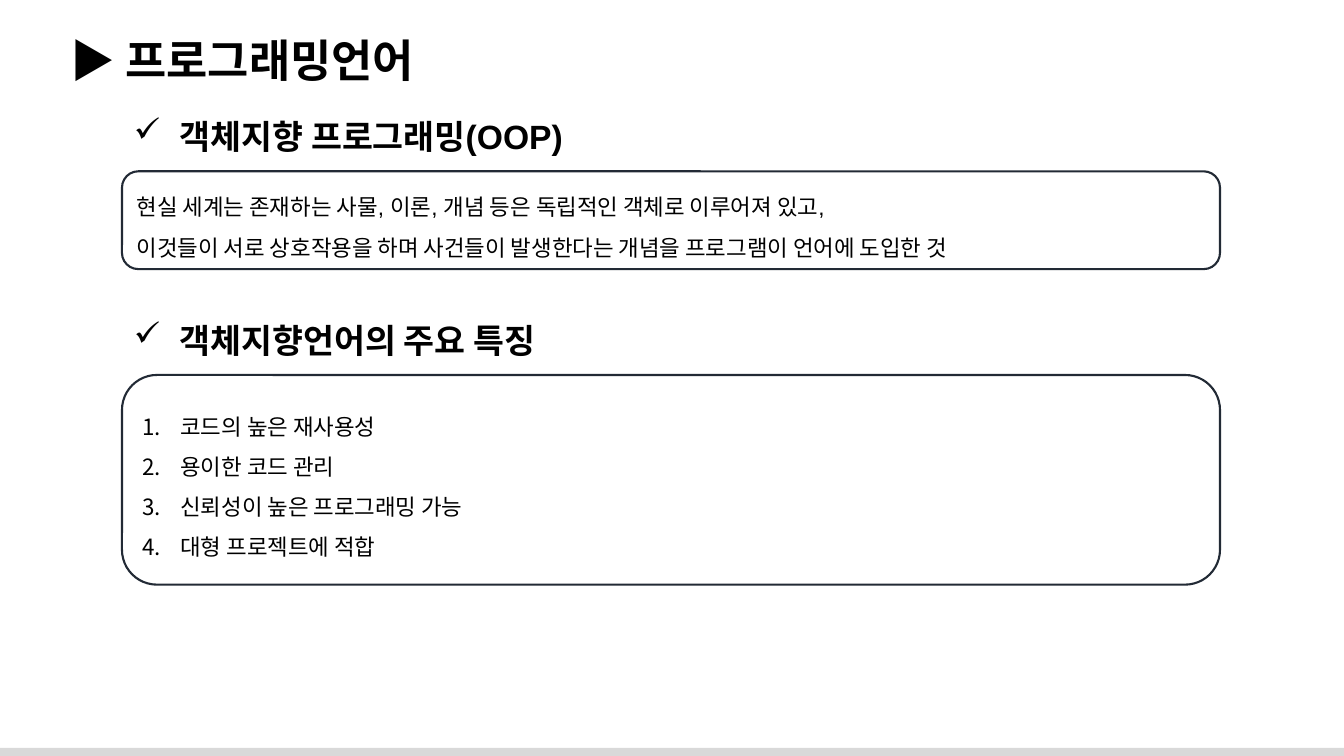
from dataclasses import dataclass

from lxml import etree
from pptx import Presentation, util as u
from pptx.dml.color import RGBColor
from pptx.enum import shapes, text
from pptx.oxml import ns


@dataclass(frozen=True)
class Theme:
    """Colours, font and type sizes of the slide."""
    ink: str = "000000"
    edge: str = "222A35"
    bar: str = "D9D9D9"
    font: str = "Arial"
    title: int = 32
    head: int = 24
    body: int = 16


def mark(para, tag, **attrs):
    """Give a paragraph a hanging bullet or number."""
    props = para._p.get_or_add_pPr()
    hang = u.Inches(0.38)
    props.set("marL", str(hang))
    props.set("indent", str(-hang))
    etree.SubElement(props, ns.qn(tag), attrs)


def write(frame, lines, font, size, ink, bold=False, lead=None, bullet=None):
    """Fill a text frame with one formatted paragraph per line."""
    for i, line in enumerate(lines):
        para = frame.paragraphs[0] if i == 0 else frame.add_paragraph()
        para.alignment = text.PP_ALIGN.LEFT
        if lead:
            para.line_spacing = lead
        if bullet == "number":
            mark(para, "a:buAutoNum", type="arabicPeriod")
        elif bullet:
            mark(para, "a:buChar", char=bullet)
        run = para.add_run()
        run.text = line
        run.font.name = font
        run.font.size = u.Pt(size)
        run.font.bold = bold
        run.font.color.rgb = RGBColor.from_string(ink)


class Page:
    """Hold the theme and the current slide."""

    def __init__(self, slide, theme):
        """Keep the slide and its style."""
        self.slide, self.theme = slide, theme

    def shape(self, kind, x, y, w, h):
        """Add a preset shape without shadow."""
        item = self.slide.shapes.add_shape(
            kind, u.Inches(x), u.Inches(y), u.Inches(w), u.Inches(h))
        item.shadow.inherit = False
        return item

    def bar(self, x, y, w, h):
        """Add a plain filled bar."""
        item = self.shape(shapes.MSO_SHAPE.RECTANGLE, x, y, w, h)
        item.fill.solid()
        item.fill.fore_color.rgb = RGBColor.from_string(self.theme.bar)
        item.line.fill.background()

    def label(self, line, x, y, w, h, size, wrap=True, bullet=None):
        """Add a bold one-line text box."""
        item = self.slide.shapes.add_textbox(
            u.Inches(x), u.Inches(y), u.Inches(w), u.Inches(h))
        frame = item.text_frame
        frame.word_wrap = wrap
        frame.auto_size = text.MSO_AUTO_SIZE.SHAPE_TO_FIT_TEXT
        write(frame, [line], self.theme.font, size, self.theme.ink,
              bold=True, bullet=bullet)

    def panel(self, lines, x, y, w, h, bullet=None):
        """Add an outlined rounded box with body text."""
        item = self.shape(shapes.MSO_SHAPE.ROUNDED_RECTANGLE, x, y, w, h)
        item.fill.background()
        item.line.color.rgb = RGBColor.from_string(self.theme.edge)
        item.line.width = u.Pt(1.5)
        frame = item.text_frame
        frame.word_wrap = True
        frame.vertical_anchor = text.MSO_ANCHOR.MIDDLE
        write(frame, lines, self.theme.font, self.theme.body, self.theme.ink,
              lead=1.5, bullet=bullet)

    def topic(self, head, lines, y, w, h, bullet=None):
        """Add a ticked heading with its panel below."""
        self.label(head, 1.23, y, w, 0.5, self.theme.head,
                   wrap=False, bullet="✓")
        self.panel(lines, 1.21, y + 0.6, 10.89, h, bullet)


def main():
    """Build and save the slide."""
    deck = Presentation()
    deck.slide_width, deck.slide_height = u.Inches(13.33), u.Inches(7.5)
    theme = Theme()
    page = Page(deck.slides.add_slide(deck.slide_layouts[6]), theme)
    page.bar(0, 7.42, 13.33, 0.08)
    page.label("▶ 프로그래밍언어", 0.6, 0.28, 12.6, 0.64, theme.title)
    page.topic(" 객체지향 프로그래밍(OOP)", [
        "현실 세계는 존재하는 사물, 이론, 개념 등은 독립적인 객체로 이루어져 있고,",
        "이것들이 서로 상호작용을 하며 사건들이 발생한다는 개념을 프로그램이 언어에 도입한 것",
    ], 1.1, 4.94, 0.97)
    page.topic(" 객체지향언어의 주요 특징", [
        "코드의 높은 재사용성",
        "용이한 코드 관리",
        "신뢰성이 높은 프로그래밍 가능",
        "대형 프로젝트에 적합",
    ], 3.12, 4.64, 2.08, bullet="number")
    deck.save("out.pptx")


main()
